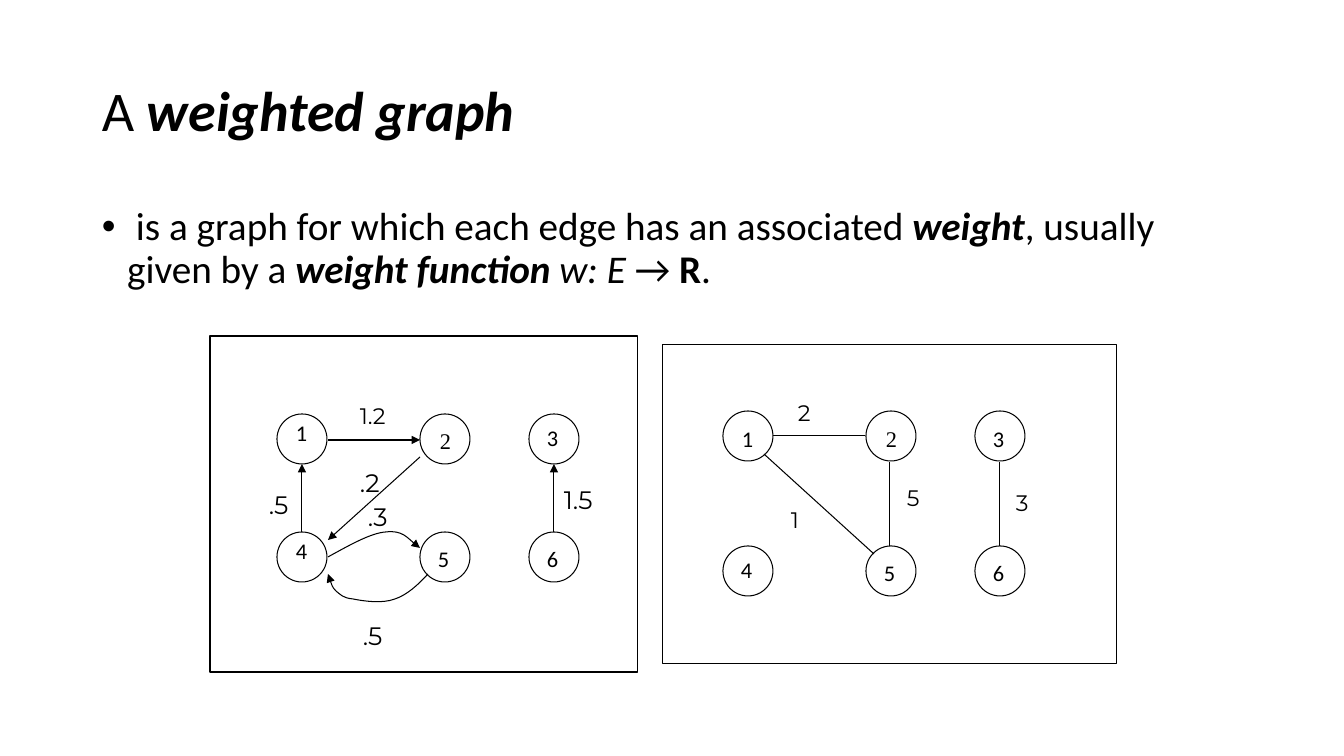
from pptx import Presentation
from pptx.dml.color import RGBColor
from pptx.enum.shapes import MSO_CONNECTOR as Conn, MSO_SHAPE as Shape
from pptx.enum.text import MSO_ANCHOR as Anchor, MSO_AUTO_SIZE as Auto
from pptx.oxml.ns import qn
from pptx.util import Pt
from lxml.etree import SubElement

PX = 914400 / 100.8
COLORS = {"ink": "000000"}
BOLD, ITALIC, BOTH = {"bold": True}, {"italic": True}, {"bold": True, "italic": True}

TITLE = [("A ", {}), ("weighted graph", BOTH)]
BODY = [(" is a graph for which each edge has an associated ", {}), ("weight", BOTH),
        (", usually given by a ", {}), ("weight function ", BOTH), ("w: E ", ITALIC),
        ("\u2192 ", {}), ("R", BOLD), (".", {})]

NODE = 50
COLUMNS = (0, 143, 252)
GRAPHS = [
    {"frame": (663, 345, 454, 319), "left": 723, "rows": (411, 546), "directed": False,
     "labels": [(732, 420), (876, 420), (983, 420), (731, 551), (874, 554), (983, 554)],
     "edges": [(764, 454, 874, 554), (773, 436, 865, 436),
               (890, 546, 890, 462), (1000, 546, 1000, 462)],
     "curves": [],
     "weights": [("2", 788, 394, 35, 16), ("1", 781, 501, 35, 16),
                 ("3", 1006, 484, 35, 16), ("5", 897, 479, 35, 16)]},
    {"frame": (210, 336, 428, 336), "left": 277, "rows": (414, 532), "directed": True,
     "labels": [(286, 414), (430, 422), (537, 419), (286, 532), (428, 540), (537, 540)],
     "edges": [(302, 532, 302, 464), (328, 440, 420, 440),
               (420, 457, 328, 540), (554, 532, 554, 464)],
     "curves": [[(328, 557), (350, 545), (371, 533), (386, 532),
                 (402, 530), (414, 544), (420, 548)],
                [(428, 574), (418, 585), (407, 595), (395, 599),
                 (382, 604), (363, 601), (353, 599), (343, 598), (341, 595), (336, 591),
                 (332, 587), (329, 577), (328, 574)]],
     "weights": [(".5", 259, 484, 45, 18), ("1.2", 350, 397, 57, 16),
                 (".2", 350, 462, 45, 18), (".5", 353, 615, 45, 18),
                 ("1.5", 554, 479, 62, 18), (".3", 358, 496, 45, 18)]},
]

prs = Presentation()
prs.slide_width, prs.slide_height = px_size = [round(n * PX) for n in (1344, 756)]
slide = prs.slides.add_slide(prs.slide_layouts[6])


def emu(*lengths):
    return [round(n * PX) for n in lengths]


def ink_line(s, arrow=False):
    s.line.color.rgb = RGBColor.from_string(COLORS["ink"])
    s.line.width = Pt(0.75)
    if arrow:
        SubElement(s.line._get_or_add_ln(), qn("a:tailEnd"), type="triangle")


def outline(s, arrow=False):
    s.shadow.inherit = False
    s.fill.background()
    ink_line(s, arrow)


def text(box, runs, size, font="Calibri", **frame):
    tf = slide.shapes.add_textbox(*emu(*box)).text_frame
    for name, value in frame.items():
        setattr(tf, name, value)
    p = tf.paragraphs[0]
    for words, style in runs:
        r = p.add_run()
        r.text = words
        r.font.color.rgb = RGBColor.from_string(COLORS["ink"])
        for name, value in {"size": Pt(size), "name": font, **style}.items():
            setattr(r.font, name, value)
    return p


def label(words, x, y, width, size, font):
    text((x, y, width, 37 if size == 16 else 40), [(words, {})], size, font,
         word_wrap=False, auto_size=Auto.SHAPE_TO_FIT_TEXT)


def edge(x1, y1, x2, y2, arrow):
    s = slide.shapes.add_connector(Conn.STRAIGHT, *emu(x1, y1, x2, y2))
    ink_line(s, arrow)
    SubElement(s._element.spPr, qn("a:effectLst"))


def curve(points, arrow):
    builder = slide.shapes.build_freeform(*points[0], scale=PX)
    builder.add_line_segments(points[1:], close=False)
    s = builder.convert_to_shape()
    segments = list(s._element.iter(qn("a:lnTo")))
    for i in range(0, len(segments), 3):
        bezier = SubElement(segments[i].getparent(), qn("a:cubicBezTo"))
        for segment in segments[i:i + 3]:
            bezier.append(segment[0])
            segment.getparent().remove(segment)
    outline(s, arrow)


title = text((92, 40, 1159, 146), TITLE, 40, word_wrap=True, vertical_anchor=Anchor.MIDDLE)
title.line_spacing = 0.9

for graph in GRAPHS:
    arrow = graph["directed"]
    outline(slide.shapes.add_shape(Shape.RECTANGLE, *emu(*graph["frame"])))
    for i, (x, y) in enumerate(graph["labels"]):
        row, column = divmod(i, len(COLUMNS))
        box = emu(graph["left"] + COLUMNS[column], graph["rows"][row], NODE, NODE)
        outline(slide.shapes.add_shape(Shape.OVAL, *box))
        label(str(i + 1), x, y, 32, 16, "Times New Roman" if i == 1 else "Calibri")
    for ends in graph["edges"]:
        edge(*ends, arrow)
    for points in graph["curves"]:
        curve(points, arrow)
    for weight in graph["weights"]:
        label(*weight, "Montserrat")

body = text((92, 202, 1159, 480), BODY, 28, word_wrap=True)
body.line_spacing, body.space_before = 0.9, Pt(10)
pPr = body._p.get_or_add_pPr()
pPr.set("marL", "228600")
pPr.set("indent", "-228600")
SubElement(pPr, qn("a:buFont"), typeface="Arial")
SubElement(pPr, qn("a:buChar"), char="\u2022")

prs.save("out.pptx")
